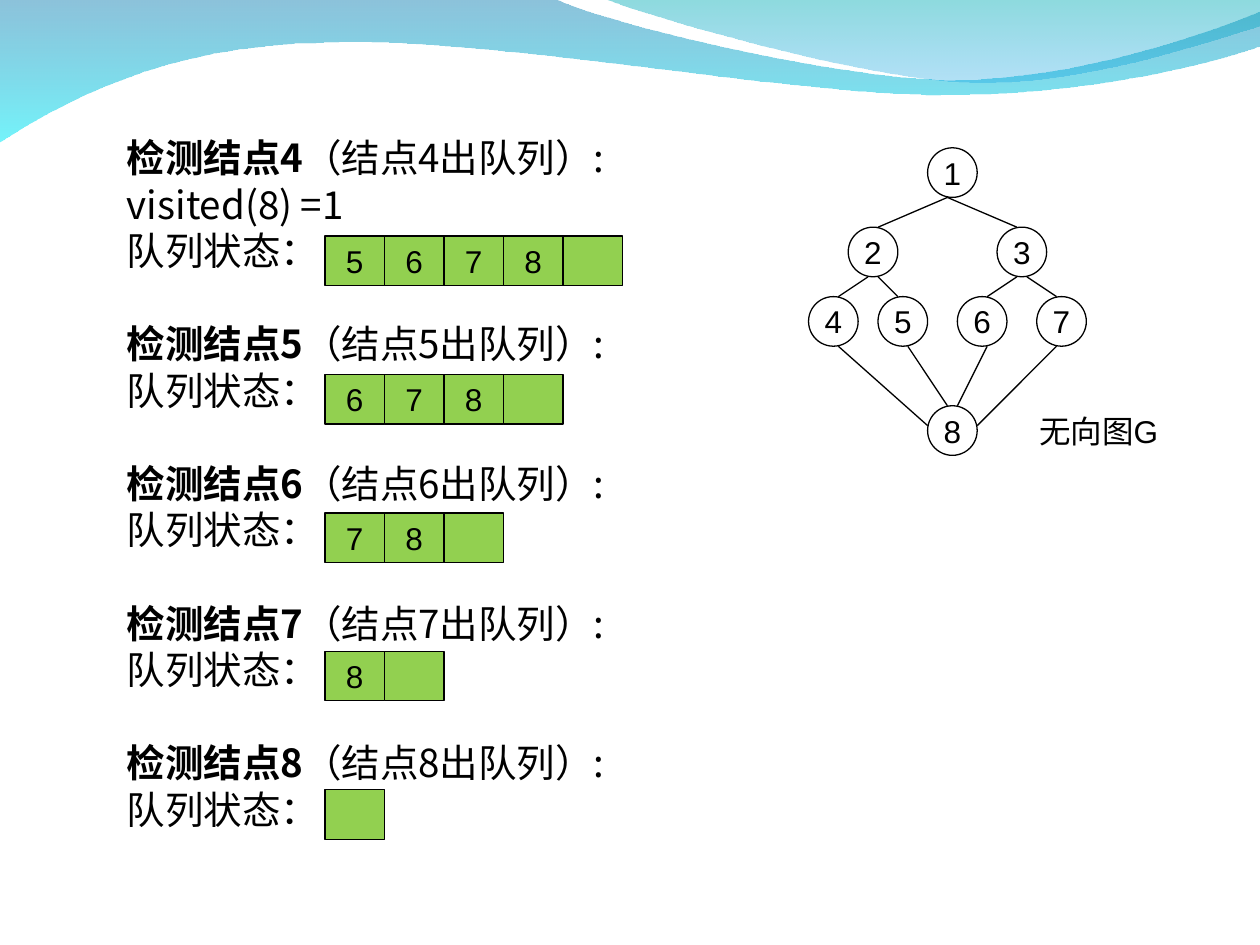
import lxml.etree
import pptx
import pptx.dml.color
import pptx.enum.shapes
import pptx.enum.text
import pptx.oxml.ns
import pptx.util

Cm = pptx.util.Cm
Pt = pptx.util.Pt
RGBColor = pptx.dml.color.RGBColor
Shape = pptx.enum.shapes.MSO_SHAPE
qn = pptx.oxml.ns.qn

BLACK = RGBColor(0x00, 0x00, 0x00)
GREEN = RGBColor(0x92, 0xD0, 0x50)
DEEP_BLUE = RGBColor(0x00, 0x79, 0xAF)
CYAN = RGBColor(0x00, 0xEB, 0xF8)
TEAL = RGBColor(0x00, 0xAD, 0xB6)
SKY_BLUE = RGBColor(0x00, 0x9B, 0xE5)

CJK_FONT = "Noto Sans CJK SC"
STEP_FONT = {"name": CJK_FONT, "size": Pt(22)}
LABEL_FONT = {"name": "Arial", "size": Pt(18)}
LINE_HEIGHT = Pt(26.6)
PLAIN_FRAME = {"margin_top": 0, "margin_bottom": 0, "word_wrap": True}
CENTRED_FRAME = {
    "word_wrap": False,
    "vertical_anchor": pptx.enum.text.MSO_ANCHOR.MIDDLE,
}

WAVES = [
    {
        "start": (0, -0.03),
        "segments": [
            [(11.18, -0.03)],
            [(12.09, 0.43), (16.87, 1.6), (19.25, 1.6)],
            [(21.67, 1.6), (24.33, 0.66), (25.4, 0.23)],
            [(25.43, 0.91)],
            [(24.97, 1.12), (22.1, 1.93), (18.95, 1.91)],
            [(15.8, 1.91), (9.7, 0.71), (6.53, 0.86)],
            [(3.28, 0.89), (1.17, 2.11), (-0.03, 2.87)],
        ],
        "stops": [(DEEP_BLUE, 45), (CYAN, 55)],
    },
    {
        "start": (12.17, -0.03),
        "segments": [
            [(12.93, 0.28), (17.32, 1.57), (19.53, 1.65)],
            [(21.74, 1.75), (24.41, 0.81), (25.4, 0.53)],
            [(25.4, 0)],
        ],
        "stops": [(TEAL, 45), (SKY_BLUE, 30)],
    },
]

STEPS = [
    ("4", ["visited(8) =1"], "5678"),
    ("5", [], "678"),
    ("6", [], "78"),
    ("7", [], "8"),
    ("8", [], ""),
]

NODES = {
    "1": (2.4, 0),
    "2": (0.8, 1.6),
    "3": (3.8, 1.6),
    "4": (0, 3),
    "5": (1.4, 3),
    "6": (3, 3),
    "7": (4.6, 3),
    "8": (2.4, 5.2),
}

EDGES = [
    ("1", 0.4, "2", 0.6, 0),
    ("1", 0.4, "3", 0.4, 0),
    ("2", 0.4, "4", 0.6, 0),
    ("2", 0.6, "5", 0.4, 0),
    ("3", 0.4, "6", 0.6, 0),
    ("3", 0.6, "7", 0.4, 0),
    ("4", 0.6, "8", 0, 0.4),
    ("5", 0.6, "8", 0.4, 0),
    ("6", 0.6, "8", 0.6, 0),
    ("7", 0.4, "8", 1, 0.4),
]


def set_values(target, values):
    """Set each attribute of target from a dict of format values."""
    for name, value in values.items():
        setattr(target, name, value)


def add_run(paragraph, text, font, bold=False):
    """Add black text with its Latin and East Asian fonts."""
    run = paragraph.add_run()
    run.text = text
    set_values(run.font, {**font, "bold": bold})
    run.font.color.rgb = BLACK
    properties = run.font._element
    lxml.etree.SubElement(properties, qn("a:ea"), typeface=CJK_FONT)


def add_labelled_shape(shapes, kind, left, top, width, text, fill=None):
    """Add an outlined shape 1 cm high with a centred label."""
    shape = shapes.add_shape(kind, Cm(left), Cm(top), Cm(width), Cm(1))
    shape.shadow.inherit = False
    if fill is None:
        shape.fill.background()
    else:
        shape.fill.solid()
        shape.fill.fore_color.rgb = fill
    shape.line.color.rgb = BLACK
    shape.line.width = Pt(0.75)
    set_values(shape.text_frame, CENTRED_FRAME)
    if text:
        paragraph = shape.text_frame.paragraphs[0]
        paragraph.alignment = pptx.enum.text.PP_ALIGN.CENTER
        add_run(paragraph, text, LABEL_FONT)


def bend_segments(shape, segments):
    """Turn each three-point segment of the outline into a cubic curve."""
    lines = iter(shape._element.spPr.findall(".//" + qn("a:lnTo")))
    for segment in segments:
        first, *others = [next(lines) for _ in segment]
        if others:
            first.tag = qn("a:cubicBezTo")
            for line in others:
                first.append(line[0])
                line.getparent().remove(line)


def add_wave(slide, left, top, wave):
    """Draw one translucent wave with a vertical gradient."""
    points = [wave["start"], *(point for segment in wave["segments"] for point in segment)]
    points = [(Cm(x), Cm(y)) for x, y in points]
    builder = slide.shapes.build_freeform(*points[0])
    builder.add_line_segments(points[1:], close=True)
    shape = builder.convert_to_shape(Cm(left), Cm(top))
    bend_segments(shape, wave["segments"])
    shape.shadow.inherit = False
    shape.line.fill.background()
    shape.fill.gradient()
    shape.fill.gradient_angle = 270
    elements = shape._element.spPr.findall(".//" + qn("a:gs"))
    for position, (stop, element, (color, opacity)) in enumerate(
        zip(shape.fill.gradient_stops, elements, wave["stops"])
    ):
        stop.position = position
        stop.color.rgb = color
        lxml.etree.SubElement(element[0], qn("a:alpha"), val=str(opacity * 1000))


def add_steps(slide, left, top, width, height):
    """Write the visiting steps as one text block."""
    box = slide.shapes.add_textbox(Cm(left), Cm(top), Cm(width), Cm(height))
    frame = box.text_frame
    set_values(frame, PLAIN_FRAME)
    for index, (node, notes, _) in enumerate(STEPS):
        heading = frame.add_paragraph() if index else frame.paragraphs[0]
        heading.line_spacing = LINE_HEIGHT
        if index:
            heading.space_before = LINE_HEIGHT
        add_run(heading, f"检测结点{node}", STEP_FONT, bold=True)
        add_run(heading, f"（结点{node}出队列）:", STEP_FONT)
        for text in [*notes, "队列状态："]:
            paragraph = frame.add_paragraph()
            paragraph.line_spacing = LINE_HEIGHT
            add_run(paragraph, text, STEP_FONT)


def add_queues(slide, left, top, cell_width=1.2, pitch=2.79):
    """Draw a row of cells for each queue, ending in an empty cell."""
    for row, (_, _, queue) in enumerate(STEPS):
        for column, text in enumerate([*queue, ""]):
            add_labelled_shape(slide.shapes, Shape.RECTANGLE, left + column * cell_width,
                               top + row * pitch, cell_width, text, GREEN)


def add_graph(slide, left, top):
    """Draw the graph with its nodes, edges and caption."""
    shapes = slide.shapes.add_group_shape().shapes
    for text, (x, y) in NODES.items():
        add_labelled_shape(shapes, Shape.OVAL, left + x, top + y, 1, text)
    for parent, start_x, child, end_x, end_y in EDGES:
        (x1, y1), (x2, y2) = NODES[parent], NODES[child]
        connector = shapes.add_connector(
            pptx.enum.shapes.MSO_CONNECTOR.STRAIGHT,
            Cm(left + x1 + start_x), Cm(top + y1 + 1),
            Cm(left + x2 + end_x), Cm(top + y2 + end_y),
        )
        connector.line.color.rgb = BLACK
        connector.line.width = Pt(0.75)
        lxml.etree.SubElement(connector._element.spPr, qn("a:effectLst"))
    caption = shapes.add_textbox(Cm(left + 4.4), Cm(top + 5.2), Cm(3.4), Cm(1.02))
    caption.text_frame.word_wrap = True
    add_run(caption.text_frame.paragraphs[0], "无向图G", LABEL_FONT)


def main():
    """Build and save the slide."""
    presentation = pptx.Presentation()
    set_values(presentation, {"slide_width": Cm(25.4), "slide_height": Cm(19.05)})
    slide = presentation.slides.add_slide(presentation.slide_layouts[6])
    for wave in WAVES:
        add_wave(slide, 0, 0, wave)
    add_steps(slide, 2.31, 2.7, 22.2, 15.32)
    add_graph(slide, 16.3, 2.98)
    add_queues(slide, 6.55, 4.76)
    presentation.save("out.pptx")


if __name__ == "__main__":
    main()
